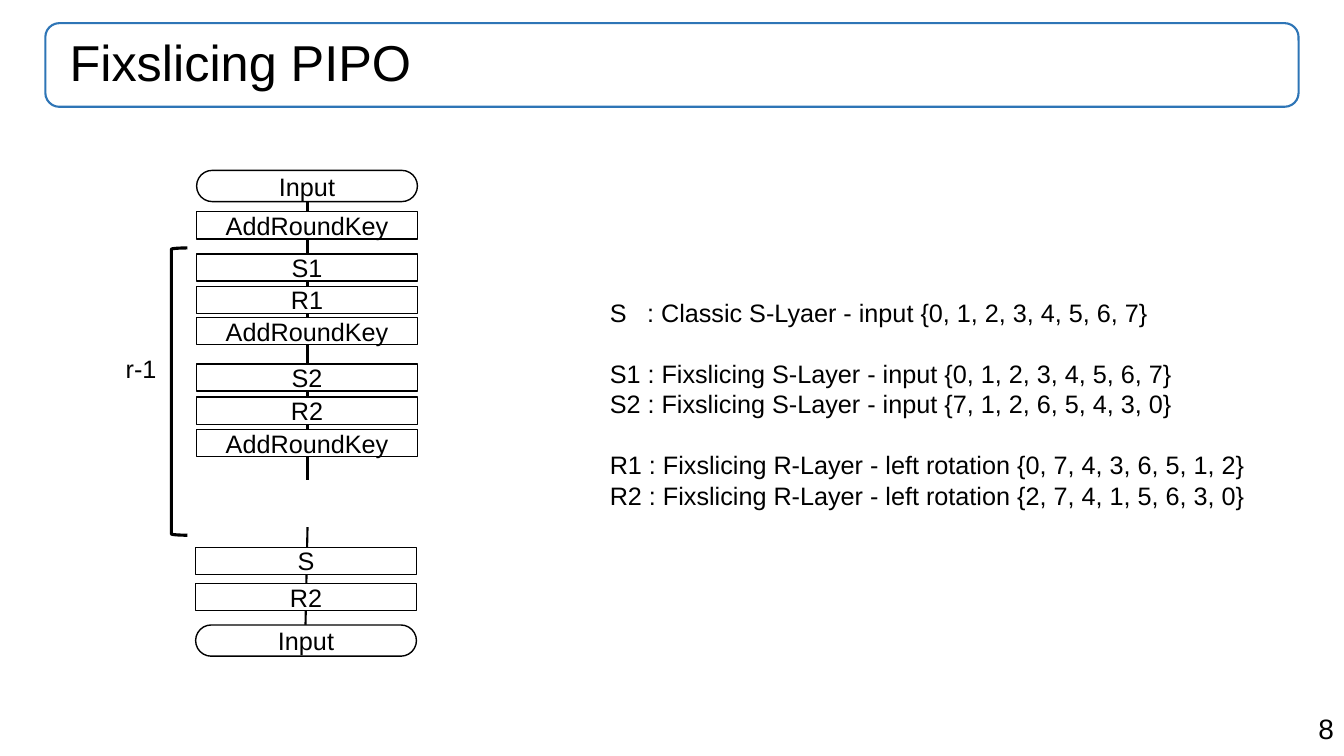
import dataclasses
import pptx
import pptx.util
import pptx.dml.color
import pptx.enum.shapes
import pptx.enum.text
import pptx.oxml
import pptx.oxml.ns
import lxml.etree

UNIT = 9144
SHAPE = pptx.enum.shapes.MSO_SHAPE
ALIGN = pptx.enum.text.PP_ALIGN
ANCHOR = pptx.enum.text.MSO_ANCHOR
FIT = pptx.enum.text.MSO_AUTO_SIZE


@dataclasses.dataclass(frozen=True)
class Theme:
    font: str = "Arial"
    ink: str = "000000"
    paper: str = "FFFFFF"
    frame: str = "2E75B6"
    title: int = 36
    page: int = 20
    body: int = 18
    lead: float = 21.7
    thin: float = 1
    line: float = 1.5
    thick: float = 2.25


LOOK = Theme()

STEPS = [
    ("Input", 0, 0),
    ("AddRoundKey", 41, 0),
    ("S1", 83, 0),
    ("R1", 115, 0),
    ("AddRoundKey", 146, 0),
    ("S2", 192, 0),
    ("R2", 225, 0),
    ("AddRoundKey", 257, 0),
    ("S", 374, -1),
    ("R2", 410, -1),
    ("Input", 451, -1),
]

NOTES = [
    ["S\t: Classic S-Lyaer - input {0, 1, 2, 3, 4, 5, 6, 7}"],
    ["S1 : Fixslicing S-Layer - input {0, 1, 2, 3, 4, 5, 6, 7}",
     "S2 : Fixslicing S-Layer - input {7, 1, 2, 6, 5, 4, 3, 0}"],
    ["R1 : Fixslicing R-Layer - left rotation {0, 7, 4, 3, 6, 5, 1, 2}",
     "R2 : Fixslicing R-Layer - left rotation {2, 7, 4, 1, 5, 6, 3, 0}"],
]


def px(*nums):
    return [pptx.util.Emu(round(num * UNIT)) for num in nums]


def put(item, vals):
    for name, val in vals.items():
        setattr(item, name, val)


def tint(code):
    return pptx.dml.color.RGBColor.from_string(code)


def write(para, text, size, **vals):
    para.text = text
    put(para, vals)
    put(para.font, {"name": LOOK.font, "size": pptx.util.Pt(size)})
    para.font.color.rgb = tint(LOOK.ink)


def stroke(line, code, width):
    line.color.rgb = tint(code)
    line.width = pptx.util.Pt(width)


def shape(slide, kind, box, code, width, fill=None):
    item = slide.shapes.add_shape(kind, *px(*box))
    item.shadow.inherit = False
    stroke(item.line, code, width)
    if fill:
        item.fill.solid()
        item.fill.fore_color.rgb = tint(fill)
    else:
        item.fill.background()
    return item


def label(slide, box, text, size, align):
    frame = slide.shapes.add_textbox(*px(*box)).text_frame
    frame.word_wrap = True
    write(frame.paragraphs[0], text, size, alignment=align)


def wire(slide, start, end):
    kind = pptx.enum.shapes.MSO_CONNECTOR.STRAIGHT
    item = slide.shapes.add_connector(kind, *px(*start, *end))
    stroke(item.line, LOOK.ink, LOOK.line)
    tag = pptx.oxml.ns.qn("a:effectLst")
    lxml.etree.SubElement(item._element.spPr, tag)


def header(slide, box, text):
    plate = shape(slide, SHAPE.ROUNDED_RECTANGLE, box, LOOK.frame, LOOK.line)
    title = slide.shapes.title
    plate._element.addnext(title._element)
    put(title, dict(zip(("left", "top", "width", "height"), px(*box))))
    frame = title.text_frame
    put(frame, {"vertical_anchor": ANCHOR.MIDDLE, "auto_size": FIT.NONE,
                "word_wrap": True, "margin_left": px(24)[0]})
    write(frame.paragraphs[0], text, LOOK.title,
          alignment=ALIGN.LEFT, line_spacing=0.9)


def step(slide, box, text):
    is_end = text == "Input"
    kind = SHAPE.ROUNDED_RECTANGLE if is_end else SHAPE.RECTANGLE
    item = shape(slide, kind, box, LOOK.ink, LOOK.thin, LOOK.paper)
    if is_end:
        item.adjustments[0] = 0.5
    frame = item.text_frame
    put(frame, {"vertical_anchor": ANCHOR.MIDDLE, "word_wrap": True,
                "margin_top": 0, "margin_bottom": 0})
    write(frame.paragraphs[0], text, LOOK.body, alignment=ALIGN.CENTER)


def flow(slide, box):
    left, top, width, _ = box
    mid = left + width // 2 + 1
    wire(slide, (mid, top + 22), (mid, top + 307))
    wire(slide, (mid, top + 354), (mid - 2, top + 451))
    for text, drop, shift in STEPS:
        high = 31 if text == "Input" else 27
        step(slide, (left + shift, top + drop, width, high), text)
    shape(slide, SHAPE.LEFT_BRACKET, (left - 25, top + 77, 16, 285),
          LOOK.ink, LOOK.thick)
    label(slide, (left - 135, top + 177, 160, 40), "r-1",
          LOOK.body, ALIGN.CENTER)


def legend(slide, box):
    frame = slide.shapes.add_textbox(*px(*box)).text_frame
    frame.word_wrap = True
    para = frame.paragraphs[0]
    props = para._p.get_or_add_pPr()
    tabs = lxml.etree.SubElement(props, pptx.oxml.ns.qn("a:tabLst"))
    lxml.etree.SubElement(tabs, pptx.oxml.ns.qn("a:tab"),
                          pos=str(px(37)[0]), algn="l")
    lead = pptx.util.Pt(LOOK.lead)
    for rank, group in enumerate(NOTES):
        for row, text in enumerate(group):
            if rank or row:
                para = frame.add_paragraph()
            gap = lead if rank and not row else 0
            write(para, text, LOOK.body, line_spacing=lead,
                  space_before=pptx.util.Emu(gap))


def main():
    deck = pptx.Presentation()
    deck.slide_width, deck.slide_height = px(1333, 750)
    slide = deck.slides.add_slide(deck.slide_layouts.get_by_name("Title Only"))
    header(slide, (45, 23, 1243, 83), "Fixslicing PIPO")
    flow(slide, (195, 169, 219, 482))
    legend(slide, (595, 290, 670, 252))
    label(slide, (943, 701, 390, 44), "8", LOOK.page, ALIGN.RIGHT)
    deck.save("out.pptx")


if __name__ == "__main__":
    main()
